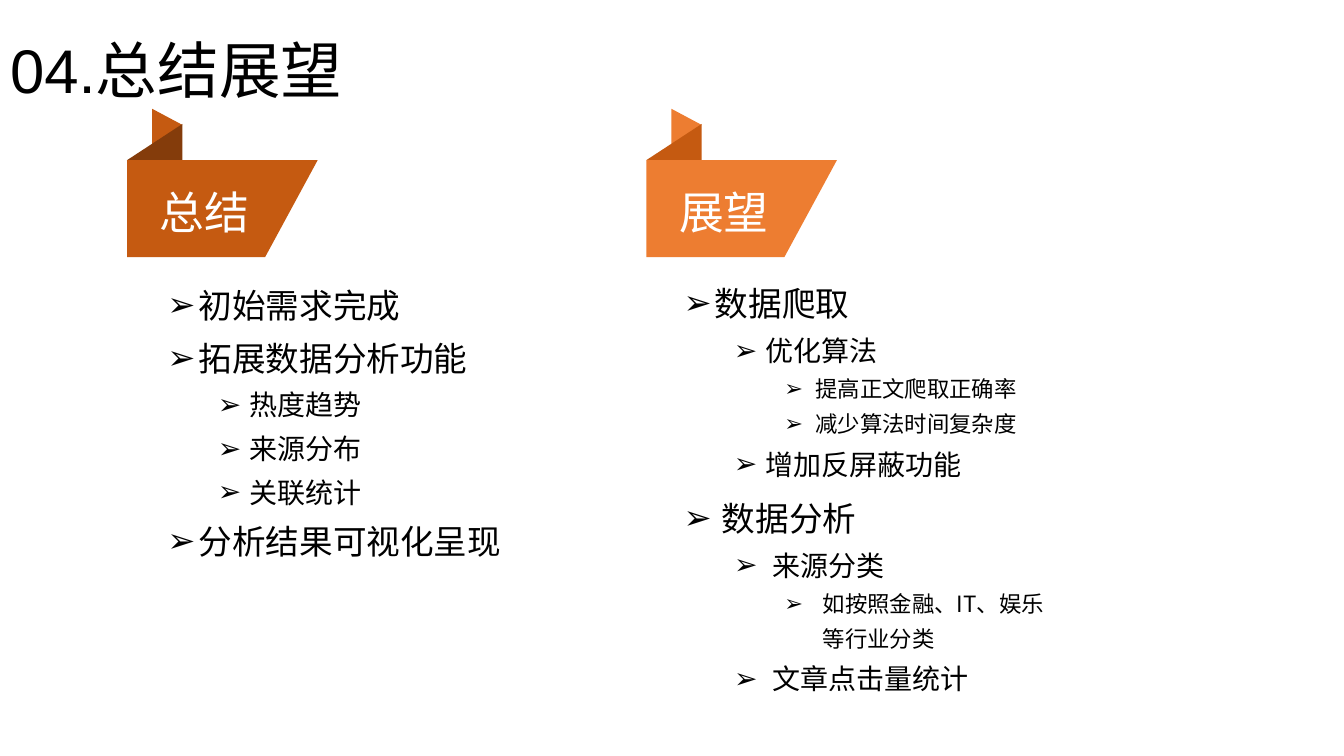
from lxml import etree
from pptx import Presentation
from pptx.dml.color import RGBColor
from pptx.enum.shapes import MSO_SHAPE
from pptx.enum.text import MSO_ANCHOR, MSO_AUTO_SIZE, PP_ALIGN
from pptx.oxml.ns import qn
from pptx.util import Inches, Pt

RIGHT_TRIANGLE = MSO_SHAPE.RIGHT_TRIANGLE
MIDDLE = MSO_ANCHOR.MIDDLE
NO_AUTOFIT = MSO_AUTO_SIZE.NONE
LEFT, CENTER = PP_ALIGN.LEFT, PP_ALIGN.CENTER

COLORS = {"text": "000000", "white": "FFFFFF", "orange": "ED7D31",
          "rust": "C55A11", "brown": "843C0B"}
LATIN, CJK = "Arial", "Noto Sans CJK SC"
LEVEL_SIZES = (24, 20, 16)

SUMMARY = [(0, "初始需求完成"), (0, "拓展数据分析功能"), (1, "热度趋势"),
           (1, "来源分布"), (1, "关联统计"), (0, "分析结果可视化呈现")]
CRAWLING = [(0, "数据爬取"), (1, "优化算法"), (2, "提高正文爬取正确率"),
            (2, "减少算法时间复杂度"), (1, "增加反屏蔽功能")]
ANALYSIS = [(0, "数据分析"), (1, "来源分类"), (2, "如按照金融、IT、娱乐"),
            (2, "等行业分类"), (1, "文章点击量统计")]
UNBULLETED = {"等行业分类"}


def style_runs(paragraph, size, color, latin=CJK):
    """Set size, colour and both script fonts on every run."""
    for run in paragraph.runs:
        run.font.size = Pt(size)
        run.font.name = latin
        run.font.color.rgb = RGBColor.from_string(COLORS[color])
        east_asian = etree.SubElement(run.font._element, qn("a:ea"))
        east_asian.set("typeface", CJK)


def clear_insets(frame, right=0):
    """Remove the frame's insets, except for an optional right one."""
    frame.margin_left = frame.margin_top = frame.margin_bottom = 0
    frame.margin_right = Inches(right)
    frame.word_wrap = True


def paint(shape, color):
    """Give a shape a flat fill without line or shadow."""
    shape.fill.solid()
    shape.fill.fore_color.rgb = RGBColor.from_string(COLORS[color])
    shape.line.fill.background()
    shape.shadow.inherit = False


def add_polygon(slide, points, color):
    """Draw a filled polygon through points given in inches."""
    corners = [(Inches(x), Inches(y)) for x, y in points]
    builder = slide.shapes.build_freeform(*corners[0])
    builder.add_line_segments(corners[1:], close=True)
    polygon = builder.convert_to_shape()
    paint(polygon, color)
    return polygon


def add_ribbon(slide, left, label, face_color, fold_color):
    """Draw a folded ribbon with its heading."""
    tail, edge = left + 0.25, left + 0.55
    add_polygon(slide, [(tail, 1.08), (edge, 1.24), (tail, 1.44)], face_color)

    fold = slide.shapes.add_shape(RIGHT_TRIANGLE, Inches(left), Inches(1.23),
                                  Inches(0.55), Inches(0.36))
    fold._element.spPr.get_or_add_xfrm().set("flipH", "1")
    paint(fold, fold_color)

    face = add_polygon(slide, [(left, 1.59), (left + 1.89, 1.59),
                               (left + 1.37, 2.55), (left, 2.55)], face_color)
    frame = face.text_frame
    clear_insets(frame, right=0.35)
    frame.vertical_anchor = MIDDLE
    frame.text = label
    heading = frame.paragraphs[0]
    heading.alignment = CENTER
    heading.line_spacing = 1.1
    style_runs(heading, 32, "white")


def set_bullet(paragraph, level, hanging, bulleted):
    """Indent a paragraph for its level and add the arrow bullet."""
    properties = paragraph._p.get_or_add_pPr()
    properties.set("marL", str(Inches(hanging + 0.5 * level)))
    properties.set("indent", str(-Inches(hanging) if bulleted else 0))
    if bulleted:
        etree.SubElement(properties, qn("a:buFont")).set("typeface", LATIN)
        etree.SubElement(properties, qn("a:buChar")).set("char", "➢")
    else:
        etree.SubElement(properties, qn("a:buNone"))


def add_outline(slide, left, top, width, height, items, hanging=0.31):
    """Add a text box with a multilevel bulleted list."""
    box = slide.shapes.add_textbox(Inches(left), Inches(top),
                                   Inches(width), Inches(height))
    frame = box.text_frame
    clear_insets(frame)
    frame.text = "\n".join(text for _, text in items)
    for paragraph, (level, text) in zip(frame.paragraphs, items):
        paragraph.level = level
        paragraph.line_spacing = 1.3
        set_bullet(paragraph, level, hanging, text not in UNBULLETED)
        style_runs(paragraph, LEVEL_SIZES[level], "text")


def set_title(slide, text):
    """Place and format the slide title."""
    title = slide.shapes.title
    title.left, title.top = Inches(0), Inches(0.23)
    title.width, title.height = Inches(11.5), Inches(0.99)
    frame = title.text_frame
    frame.auto_size = NO_AUTOFIT
    frame.vertical_anchor = MIDDLE
    frame.text = text
    heading = frame.paragraphs[0]
    heading.alignment = LEFT
    heading.line_spacing = 0.9
    style_runs(heading, 44, "text", LATIN)


def main():
    """Build the summary and outlook slide."""
    deck = Presentation()
    deck.slide_width, deck.slide_height = Inches(13.33), Inches(7.5)
    slide = deck.slides.add_slide(deck.slide_layouts[5])
    set_title(slide, "04.总结展望")
    add_ribbon(slide, 1.26, "总结", "rust", "brown")
    add_outline(slide, 1.66, 2.71, 3.75, 2.36, SUMMARY)
    add_ribbon(slide, 6.41, "展望", "orange", "rust")
    add_outline(slide, 6.78, 2.69, 4, 2.4, CRAWLING)
    add_outline(slide, 6.78, 4.82, 4.22, 2.23, ANALYSIS, hanging=0.38)
    deck.save("out.pptx")


if __name__ == "__main__":
    main()
